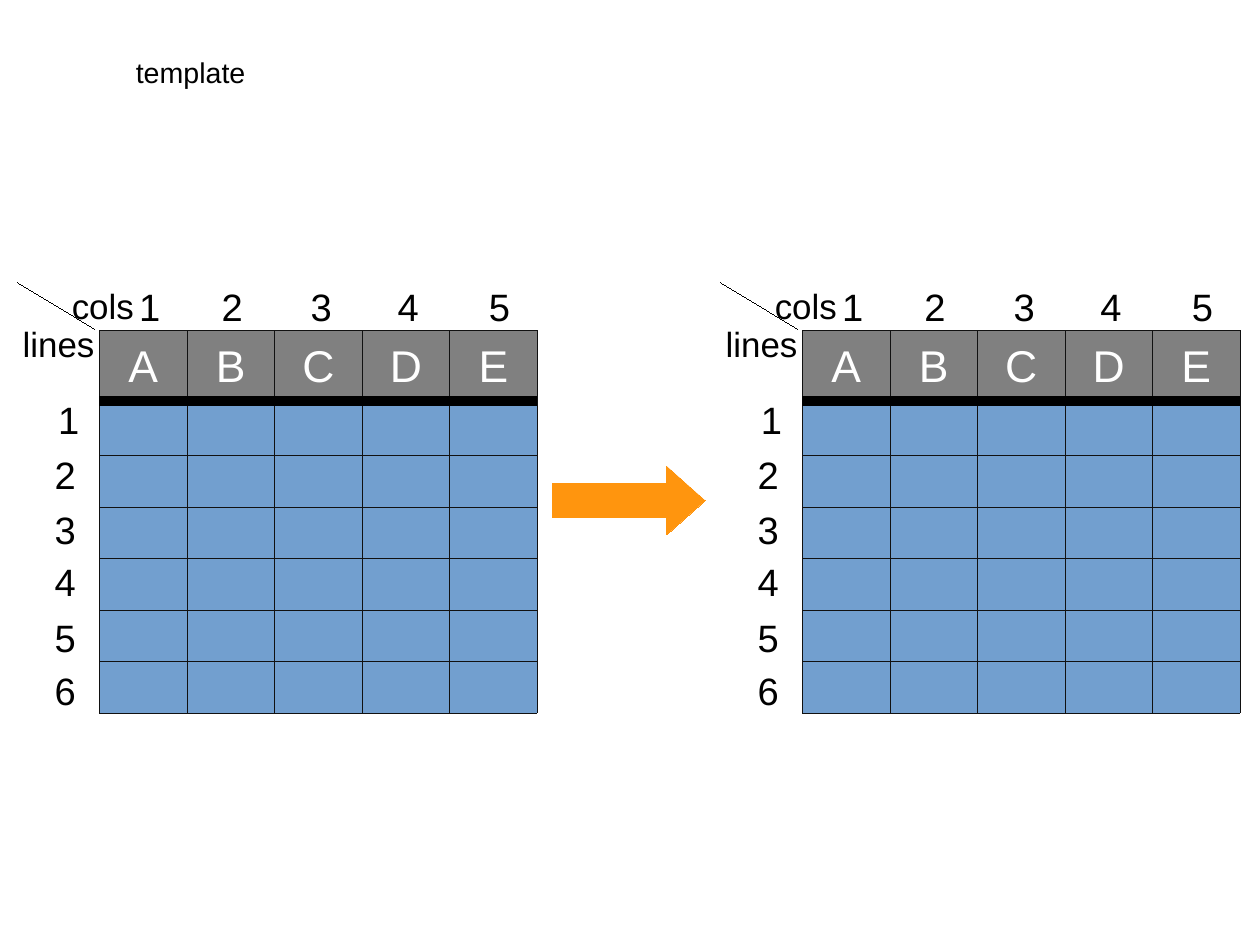
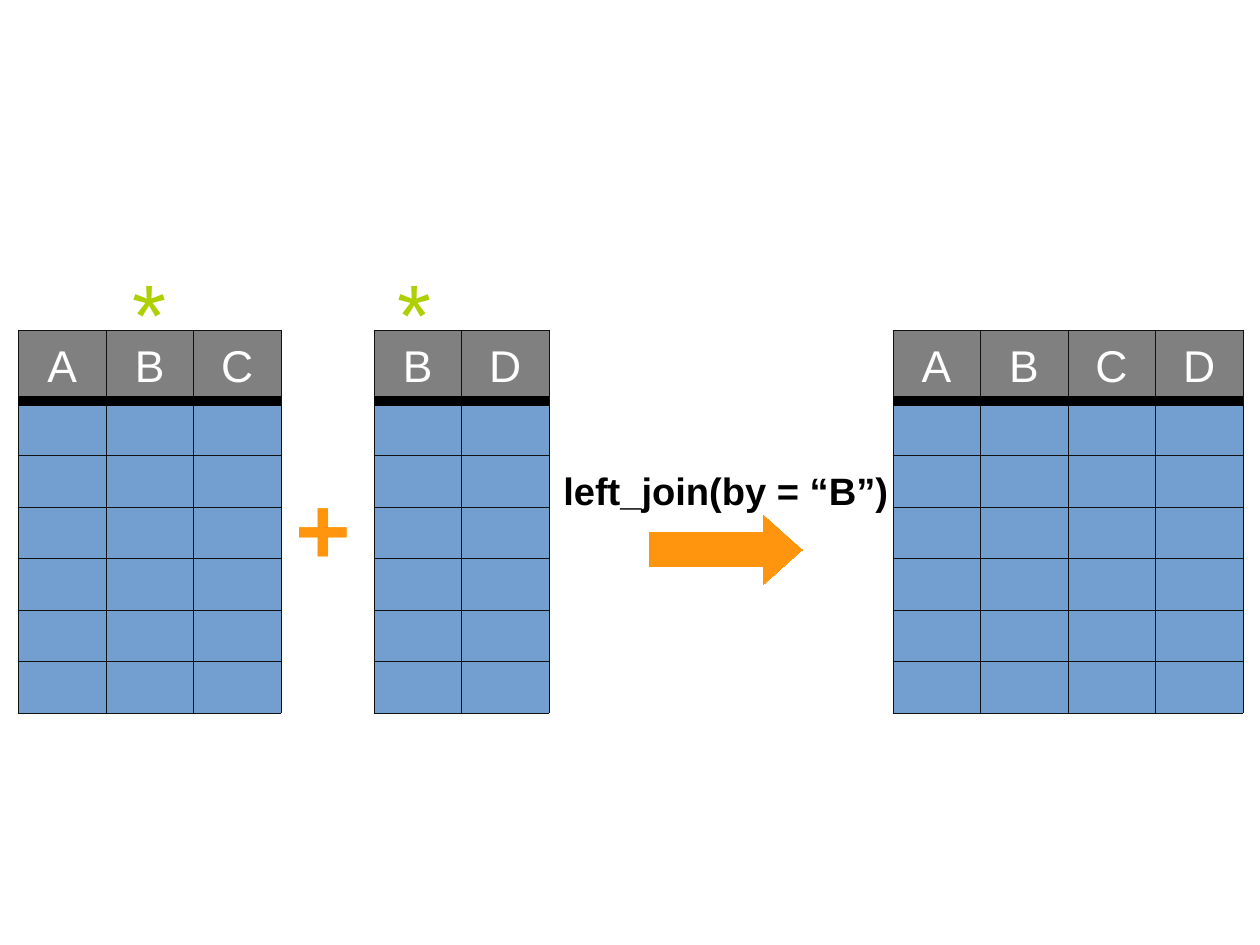
from lxml.etree import SubElement
from pptx import Presentation
from pptx.dml.color import RGBColor
from pptx.enum.shapes import MSO_CONNECTOR, MSO_SHAPE
from pptx.enum.text import MSO_ANCHOR, PP_ALIGN
from pptx.oxml.ns import qn
from pptx.util import Inches, Pt

COLORS = {
    "text": "000000",
    "header": "808080",
    "header_text": "FFFFFF",
    "body": "729FCF",
    "border": "111111",
    "accent": "FF950E",
    "key": "AECF00",
}
FONT = "Arial"
HAIRLINE = 0.01

# The page measures 28 by 21 centimetres
CM_PER_INCH = 2.54
PAGE_WIDTH, PAGE_HEIGHT = 28 / CM_PER_INCH, 21 / CM_PER_INCH

TABLE_TOP, TABLE_HEIGHT, HEADER_HEIGHT = 2.89, 3.35, 0.64
BODY_ROWS = 6
ROW_HEIGHT = (TABLE_HEIGHT - HEADER_HEIGHT) / BODY_ROWS
COL_WIDTH = 3.83 / 5
BAR_Y = 3.51

# Left edges of the column numbers, from the left edge of their table
COLUMN_NUMBERS = [0.25, 0.97, 1.75, 2.51, 3.31]
# Left edges, from the same edge, and tops of the line numbers
LINE_NUMBERS = [(-0.46, 3.42), (-0.49, 3.9), (-0.49, 4.38),
                (-0.49, 4.84), (-0.49, 5.33), (-0.49, 5.79)]

# Each table: left edge, column names, whether its axes are numbered
# Each label: text, left, top, width, height, size, colour, bold
SLIDES = [
    {
        "tables": [(0.87, "ABCDE", True), (7.02, "ABCDE", True)],
        "arrow": (4.83, 4.08),
        "labels": [("template", 1.09, 0.43, 1.3, 0.38, 18, "text", False)],
    },
    {
        "tables": [(0.16, "ABC", False), (3.27, "BD", False), (7.81, "ABCD", False)],
        "arrow": (5.68, 4.51),
        "labels": [
            ("left_join(by = “B”)", 4.83, 4.04, 3.2, 0.47, 24, "text", True),
            ("+", 2.49, 4.06, 0.75, 1.03, 60, "accent", True),
            ("*", 3.38, 2.22, 0.6, 0.95, 55, "key", False),
            ("*", 1.06, 2.22, 0.6, 0.95, 55, "key", False),
        ],
    },
]


def rgb(name):
    return RGBColor.from_string(COLORS[name])


def style_run(run, size, color, bold=False):
    run.font.name = FONT
    run.font.size = Pt(size)
    run.font.bold = bold
    run.font.color.rgb = rgb(color)


def add_label(slide, text, left, top, width, height, size, color="text", bold=False):
    box = slide.shapes.add_textbox(Inches(left), Inches(top), Inches(width), Inches(height))
    box.text_frame.word_wrap = True
    box.text_frame.text = text
    style_run(box.text_frame.paragraphs[0].runs[0], size, color, bold)


def add_line(slide, x1, y1, x2, y2, width):
    line = slide.shapes.add_connector(
        MSO_CONNECTOR.STRAIGHT, Inches(x1), Inches(y1), Inches(x2), Inches(y2))
    line.line.color.rgb = rgb("text")
    line.line.width = Pt(width)
    SubElement(line._element.spPr, qn("a:effectLst"))


def add_borders(cell):
    properties = cell._tc.get_or_add_tcPr()
    for side in ("a:lnL", "a:lnR", "a:lnT", "a:lnB"):
        border = SubElement(properties, qn(side), w=str(Pt(0.11)))
        fill = SubElement(border, qn("a:solidFill"))
        SubElement(fill, qn("a:srgbClr"), val=COLORS["border"])


def add_data_table(slide, left, names):
    width = COL_WIDTH * len(names)
    table = slide.shapes.add_table(
        BODY_ROWS + 1, len(names), Inches(left), Inches(TABLE_TOP),
        Inches(width), Inches(TABLE_HEIGHT)).table
    table.first_row = table.horz_banding = False
    for column in table.columns:
        column.width = Inches(COL_WIDTH)
    for index, row in enumerate(table.rows):
        row.height = Inches(ROW_HEIGHT if index else HEADER_HEIGHT)
        for cell in row.cells:
            add_borders(cell)
            cell.fill.solid()
            cell.fill.fore_color.rgb = rgb("body" if index else "header")
    for column, name in enumerate(names):
        cell = table.cell(0, column)
        cell.vertical_anchor = MSO_ANCHOR.MIDDLE
        cell.text_frame.text = name
        heading = cell.text_frame.paragraphs[0]
        heading.alignment = PP_ALIGN.CENTER
        style_run(heading.runs[0], 28, "header_text")
    add_line(slide, left, BAR_Y, left + width, BAR_Y, 6)


def number_axes(slide, left):
    """Number the lines and columns around a table and title both axes."""
    add_line(slide, left - 0.04, 2.88, left - 0.72, 2.47, HAIRLINE)
    add_label(slide, "lines", left - 0.77, 2.77, 0.95, 0.45, 22)
    add_label(slide, "cols", left - 0.34, 2.44, 0.95, 0.45, 22)
    places = LINE_NUMBERS, [(offset, 2.43) for offset in COLUMN_NUMBERS]
    for axis in places:
        for number, (offset, top) in enumerate(axis, 1):
            add_label(slide, str(number), left + offset, top, 0.4, 0.54, 24)


def add_arrow(slide, left, top):
    arrow = slide.shapes.add_shape(
        MSO_SHAPE.RIGHT_ARROW, Inches(left), Inches(top), Inches(1.34), Inches(0.6))
    arrow.adjustments[1] = 0.56
    arrow.shadow.inherit = False
    arrow.fill.solid()
    arrow.fill.fore_color.rgb = rgb("accent")
    arrow.line.color.rgb = rgb("accent")
    arrow.line.width = Pt(HAIRLINE)


def main():
    deck = Presentation()
    deck.slide_width = Inches(PAGE_WIDTH)
    deck.slide_height = Inches(PAGE_HEIGHT)
    for content in SLIDES:
        slide = deck.slides.add_slide(deck.slide_layouts[6])
        for left, names, numbered in content["tables"]:
            add_data_table(slide, left, names)
            if numbered:
                number_axes(slide, left)
        add_arrow(slide, *content["arrow"])
        for label in content["labels"]:
            add_label(slide, *label)
    deck.save("out.pptx")


if __name__ == "__main__":
    main()
